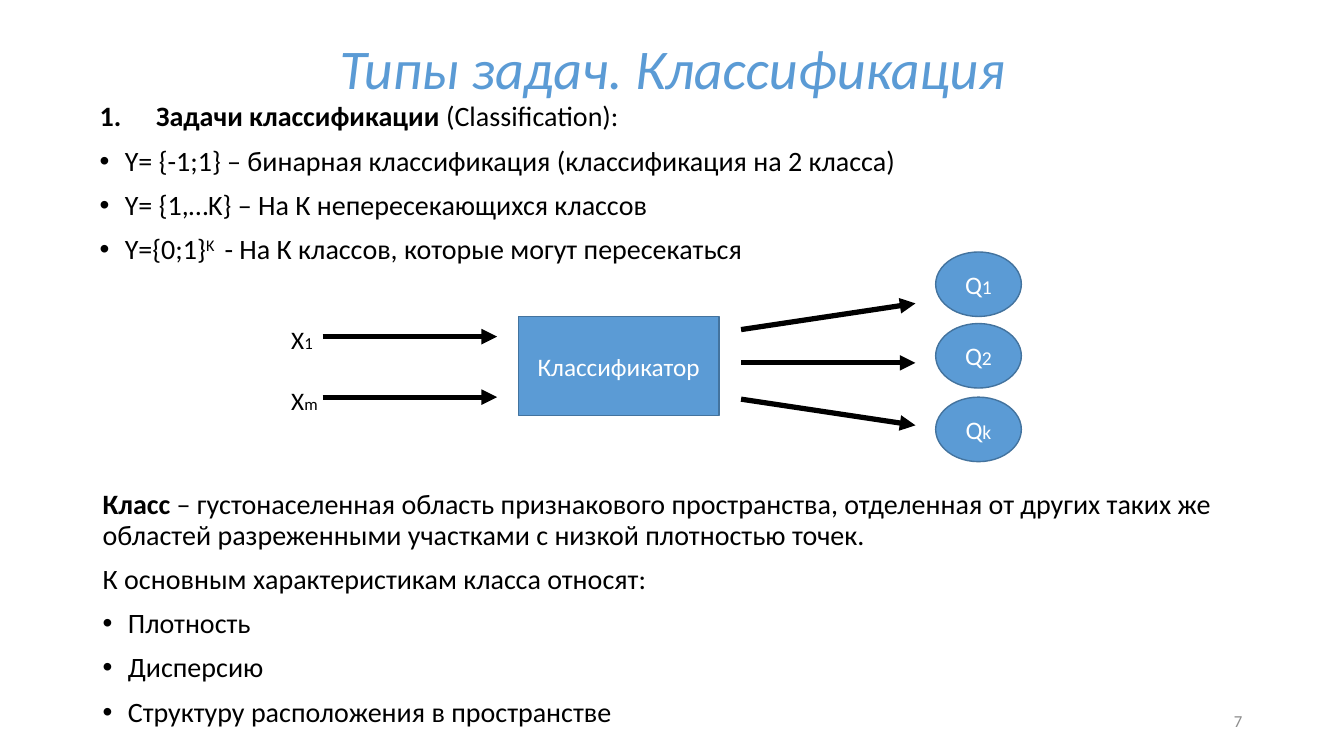
"""Build the slide about classification tasks."""
from lxml.etree import SubElement
from pptx import Presentation
from pptx.dml.color import RGBColor
from pptx.enum.shapes import MSO_CONNECTOR, MSO_SHAPE
from pptx.enum.text import MSO_ANCHOR, PP_ALIGN
from pptx.oxml.ns import qn
from pptx.util import Inches, Pt

COLORS = {"accent": "5B9BD5", "border": "43739E", "text": "000000",
          "light": "FFFFFF", "muted": "8C8C8C"}
FONT = "Calibri"


def color(name):
    """Return the named colour."""
    return RGBColor.from_string(COLORS[name])


def add_span(para, text, size, tint="text", bold=False, italic=False, raised=False):
    """Append one formatted run to a paragraph."""
    span = para.add_run()
    span.text = text
    font = span.font
    font.name, font.size, font.bold, font.italic = FONT, Pt(size), bold, italic
    font.color.rgb = color(tint)
    if raised:
        span._r.get_or_add_rPr().set("baseline", "30000")


def add_box(page, left, top, width, height, anchor=MSO_ANCHOR.TOP, wrap=True):
    """Add an empty text box and return its text frame."""
    box = page.shapes.add_textbox(Inches(left), Inches(top), Inches(width), Inches(height))
    frame = box.text_frame
    frame.word_wrap = wrap
    frame.vertical_anchor = anchor
    return frame


def add_line_of_text(page, place, text, size, tint, align, italic=False):
    """Add a vertically centred single-line text box."""
    para = add_box(page, *place, anchor=MSO_ANCHOR.MIDDLE).paragraphs[0]
    para.alignment = align
    add_span(para, text, size, tint, italic=italic)


def set_bullet(para, indent, tag, **attributes):
    """Give a paragraph a hanging bullet or number."""
    properties = para._p.get_or_add_pPr()
    properties.set("marL", str(Inches(indent)))
    properties.set("indent", str(-Inches(indent)))
    if tag == "a:buChar":
        SubElement(properties, qn("a:buFont"), typeface="Arial")
    SubElement(properties, qn(tag), **attributes)


def add_body(page, place, items):
    """Add paragraphs given as (marker, spans) pairs."""
    frame = add_box(page, *place)
    for index, (marker, spans) in enumerate(items):
        para = frame.add_paragraph() if index else frame.paragraphs[0]
        para.line_spacing = 0.9
        para.space_before = Pt(10)
        if marker == "number":
            set_bullet(para, 0.56, "a:buAutoNum", type="arabicPeriod")
        elif marker == "bullet":
            set_bullet(para, 0.25, "a:buChar", char="•")
        for text, style in spans:
            add_span(para, text, 20, **style)


def add_node(page, kind, place, spans):
    """Add a filled shape with a centred label of (text, size) spans."""
    node = page.shapes.add_shape(kind, *map(Inches, place))
    node.shadow.inherit = False
    node.fill.solid()
    node.fill.fore_color.rgb = color("accent")
    node.line.color.rgb = color("border")
    node.line.width = Pt(1)
    node.text_frame.vertical_anchor = MSO_ANCHOR.MIDDLE
    para = node.text_frame.paragraphs[0]
    para.alignment = PP_ALIGN.CENTER
    for text, size in spans:
        add_span(para, text, size, "light")


def add_arrow(page, left, start_y, end_y):
    """Add a thick arrow pointing right."""
    arrow = page.shapes.add_connector(
        MSO_CONNECTOR.STRAIGHT, Inches(left), Inches(start_y),
        Inches(left + 1.73), Inches(end_y))
    arrow.line.color.rgb = color("text")
    arrow.line.width = Pt(3.75)
    SubElement(arrow.line._get_or_add_ln(), qn("a:tailEnd"), type="triangle")
    SubElement(arrow._element.spPr, qn("a:effectLst"))


def add_inputs(page):
    """Add the feature labels and the arrows leading from them."""
    frame = add_box(page, 2.79, 3.17, 0.47, 1.01, wrap=False)
    first, last = frame.paragraphs[0], frame.add_paragraph()
    last.space_before = Pt(22)
    for para, index in ((first, "1"), (last, "m")):
        add_span(para, "Х", 18)
        add_span(para, index, 12)
    for height in (3.34, 3.94):
        add_arrow(page, 3.2, height, height)


def add_outputs(page):
    """Add the class ellipses and the arrows leading to them."""
    for start_y, end_y in ((3.27, 3.01), (3.6, 3.6), (3.96, 4.22)):
        add_arrow(page, 7.35, start_y, end_y)
    for top, index in ((2.5, "1"), (3.21, "2"), (3.94, "k")):
        add_node(page, MSO_SHAPE.OVAL, (9.28, top, 0.85, 0.64),
                 [("Q", 18), (index, 14)])


def main():
    """Build and save the deck."""
    deck = Presentation()
    deck.slide_width, deck.slide_height = Inches(13.33), Inches(7.5)
    page = deck.slides.add_slide(deck.slide_layouts[6])
    bold = {"bold": True}
    add_line_of_text(page, (0.92, 0.18, 11.5, 0.98), "Типы задач. Классификация",
                     40, "accent", PP_ALIGN.CENTER, italic=True)
    add_body(page, (0.89, 0.97, 11.64, 1.84), [
        ("number", [("Задачи классификации ", bold), ("(Classification):", {})]),
        ("bullet", [("Y= {-1;1} – бинарная классификация (классификация на 2 класса)", {})]),
        ("bullet", [("Y= {1,…K} – На К непересекающихся классов", {})]),
        ("bullet", [("Y={0;1}", {}), ("K ", {"raised": True}),
                    (" - На К классов, которые могут пересекаться", {})]),
    ])
    add_line_of_text(page, (9.42, 6.95, 3, 0.4), "7", 12, "muted", PP_ALIGN.RIGHT)
    add_node(page, MSO_SHAPE.RECTANGLE, (5.14, 3.14, 1.99, 0.98), [("Классификатор", 18)])
    add_inputs(page)
    add_outputs(page)
    add_body(page, (0.92, 4.82, 11.5, 2.47), [
        (None, [("Класс", bold),
                (" – густонаселенная область признакового пространства, отделенная от "
                 "других таких же областей разреженными участками с низкой плотностью "
                 "точек.", {})]),
        (None, [("К основным характеристикам класса относят:", {})]),
        ("bullet", [("Плотность", {})]),
        ("bullet", [("Дисперсию", {})]),
        ("bullet", [("Структуру расположения в пространстве", {})]),
    ])
    deck.save("out.pptx")


if __name__ == "__main__":
    main()
